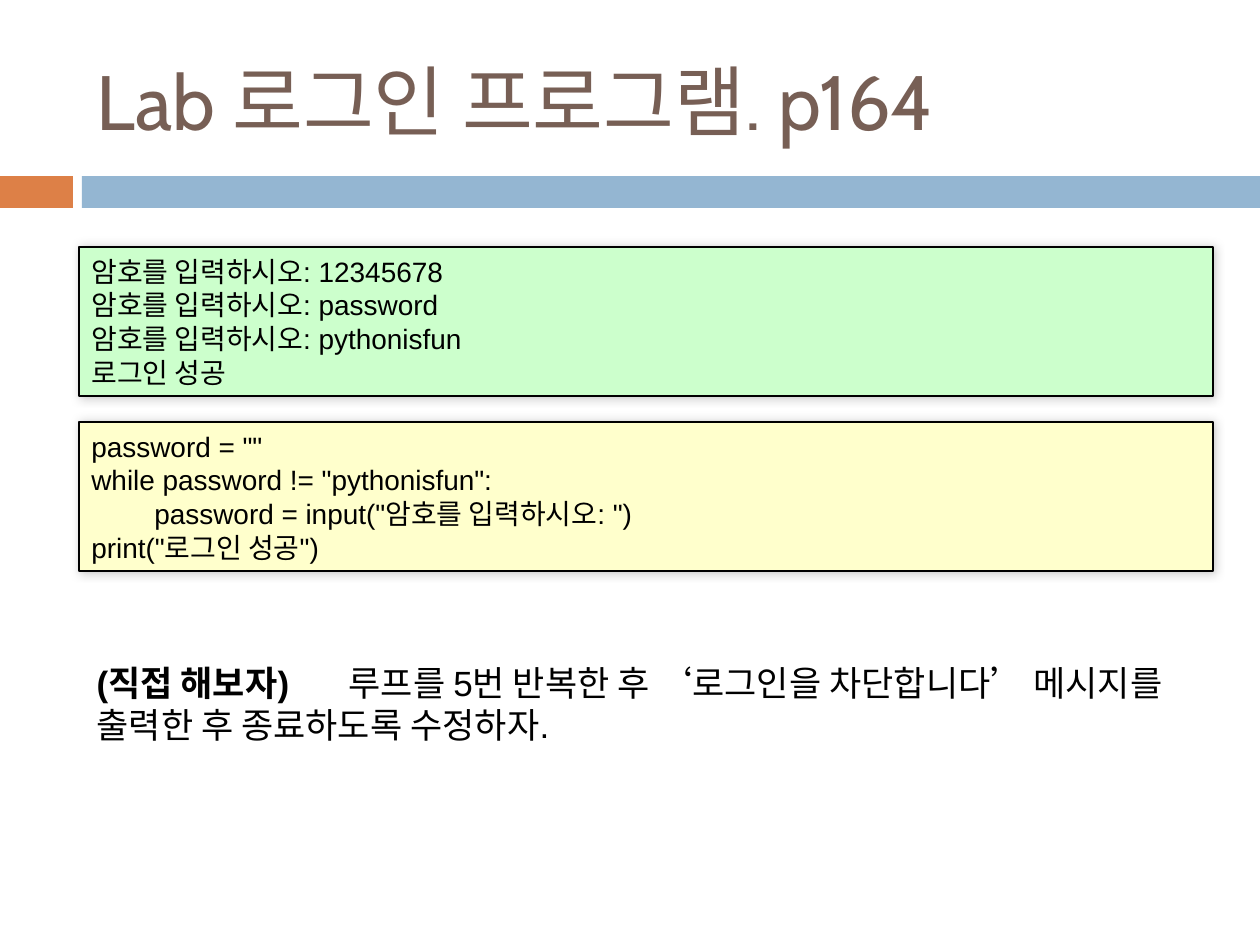
"""Build the login program lab slide."""
import lxml.etree
import pptx
import pptx.dml.color
import pptx.enum.shapes
import pptx.enum.text
import pptx.oxml
import pptx.oxml.ns
import pptx.util

EMU_PER_PX = 914400 / 126
BLACK = "000000"


def px(length):
    return pptx.util.Emu(round(length * EMU_PER_PX))


def color(value):
    return pptx.dml.color.RGBColor.from_string(value)


class LabSlide:
    def __init__(self, prs):
        self.body_font = "Arial"
        self.title_font = "Cabin"
        self.slide = prs.slides.add_slide(prs.slide_layouts[1])

    def style(self, paragraph, font, size, ink):
        paragraph.alignment = pptx.enum.text.PP_ALIGN.LEFT
        paragraph.font.name = font
        paragraph.font.size = pptx.util.Pt(size)
        paragraph.font.color.rgb = color(ink)

    def place(self, holder, left, top, width, height, anchor):
        holder.left, holder.top = px(left), px(top)
        holder.width, holder.height = px(width), px(height)
        frame = holder.text_frame
        frame.word_wrap = True
        frame.auto_size = pptx.enum.text.MSO_AUTO_SIZE.NONE
        frame.vertical_anchor = anchor
        return frame

    def bar(self, left, top, width, height, fill):
        bar = self.slide.shapes.add_shape(
            pptx.enum.shapes.MSO_SHAPE.RECTANGLE,
            px(left), px(top), px(width), px(height))
        bar.shadow.inherit = False
        bar.fill.solid()
        bar.fill.fore_color.rgb = color(fill)
        bar.line.fill.background()
        return bar

    def title(self, text, left, top, width, height):
        frame = self.place(self.slide.shapes.title, left, top, width, height,
                           pptx.enum.text.MSO_ANCHOR.MIDDLE)
        frame.text = text
        self.style(frame.paragraphs[0], self.title_font, 44, "775F55")

    def exercise(self, label, task, left, top, width, height, task_start):
        frame = self.place(self.slide.placeholders[1], left, top, width, height,
                           pptx.enum.text.MSO_ANCHOR.TOP)
        paragraph = frame.paragraphs[0]
        self.style(paragraph, self.body_font, 20, BLACK)
        paragraph.space_before = pptx.util.Pt(0)
        for text, bold in ((label + "\t", True), (task, False)):
            run = paragraph.add_run()
            run.text = text
            run.font.bold = bold
        layout = paragraph._p.get_or_add_pPr()
        layout.set("marL", "0")
        layout.set("indent", "0")
        qn = pptx.oxml.ns.qn
        bullet = lxml.etree.Element(qn("a:buNone"))
        tabs = lxml.etree.Element(qn("a:tabLst"))
        lxml.etree.SubElement(tabs, qn("a:tab"), pos=str(px(task_start)), algn="l")
        fonts = layout.find(qn("a:defRPr"))
        fonts.addprevious(bullet)
        fonts.addprevious(tabs)

    def code(self, lines, left, top, width, height, fill):
        panel = self.bar(left, top, width, height, fill)
        panel.line.color.rgb = color(BLACK)
        panel.line.width = pptx.util.Pt(0.75)
        effects = panel._element.spPr.find(pptx.oxml.ns.qn("a:effectLst"))
        effects.append(pptx.oxml.parse_xml(
            f'<a:outerShdw {pptx.oxml.ns.nsdecls("a")} blurRad="{pptx.util.Pt(6)}" '
            f'dist="0" dir="18900000"><a:srgbClr val="{BLACK}">'
            '<a:alpha val="20000"/></a:srgbClr></a:outerShdw>'))
        frame = panel.text_frame
        frame.word_wrap = True
        frame.text = "\n".join(lines)
        for paragraph in frame.paragraphs:
            self.style(paragraph, self.body_font, 16, BLACK)


def main():
    prs = pptx.Presentation()
    prs.slide_width, prs.slide_height = px(1260), px(945)
    lab = LabSlide(prs)
    lab.bar(0, 176, 73, 32, "DD8047")
    lab.bar(82, 176, 1178, 32, "94B6D2")
    lab.title("Lab 로그인 프로그램. p164", 84, 32, 1124, 136)

    prompt = "암호를 입력하시오: "
    success = "로그인 성공"
    answer = "pythonisfun"
    attempts = [prompt + entry for entry in ("12345678", "password", answer)]
    program = [
        'password = ""',
        f'while password != "{answer}":',
        f'\tpassword = input("{prompt}")',
        f'print("{success}")',
    ]
    panels = ((attempts + [success], "CCFFCC"), (program, "FFFFCC"))
    for row, (lines, fill) in enumerate(panels):
        lab.code(lines, 79, 247 + row * 175, 1134, 149, fill)

    lab.exercise(
        "(직접 해보자)",
        "루프를 5번 반복한 후 ‘로그인을 차단합니다’ 메시지를 출력한 후 종료하도록 수정하자.",
        84, 655, 1124, 185, task_start=248)
    prs.save("out.pptx")


if __name__ == "__main__":
    main()
